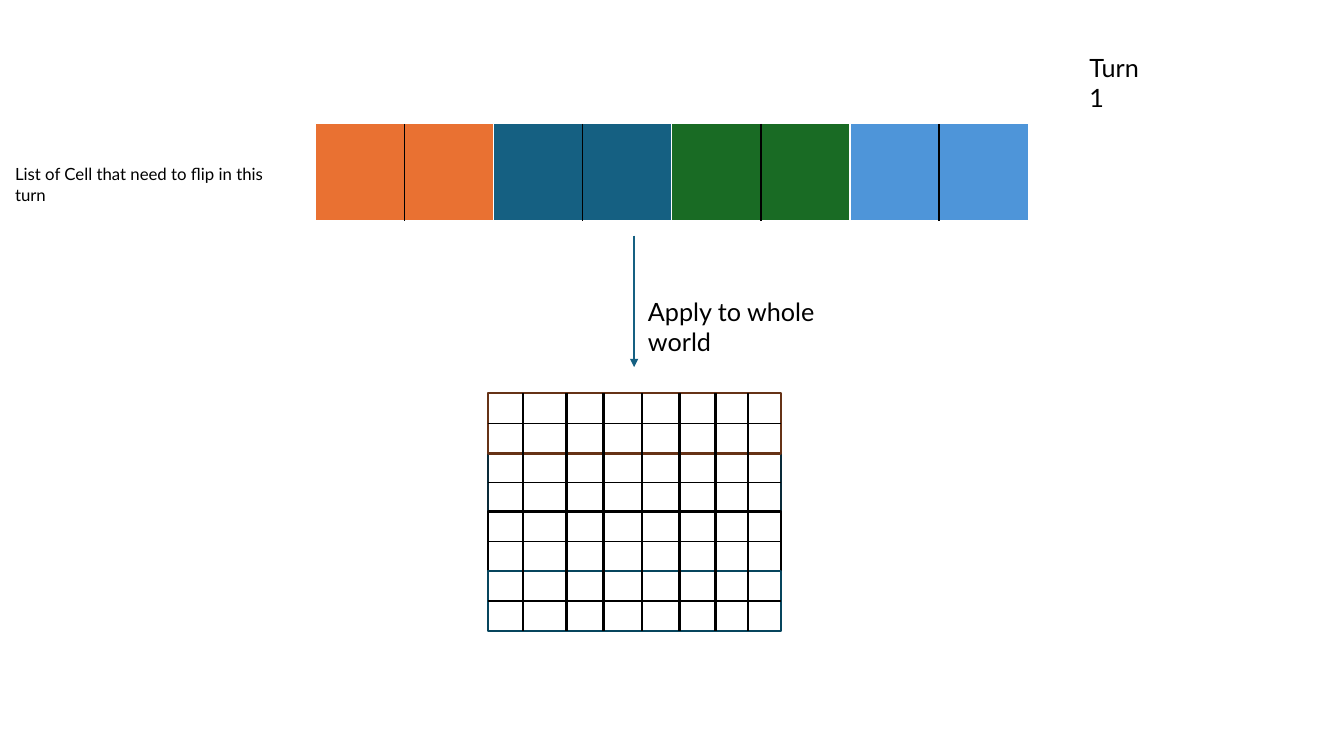
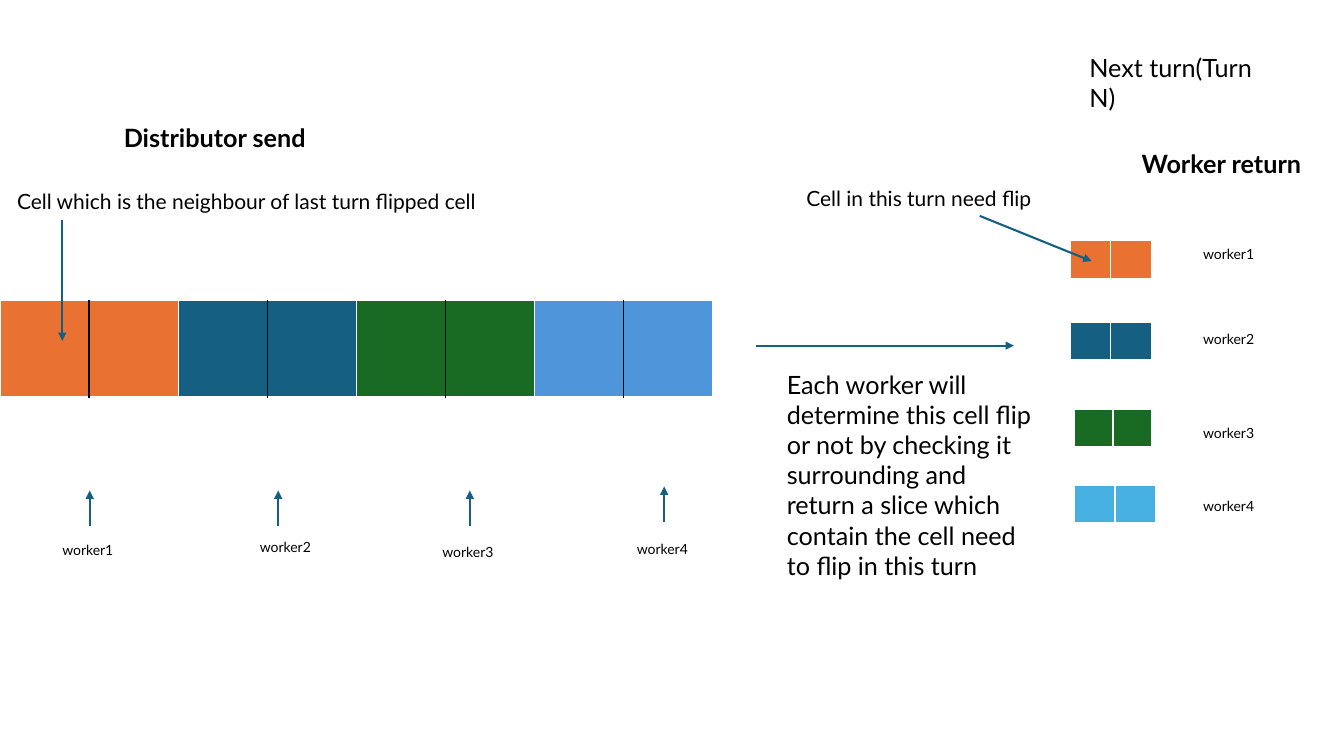
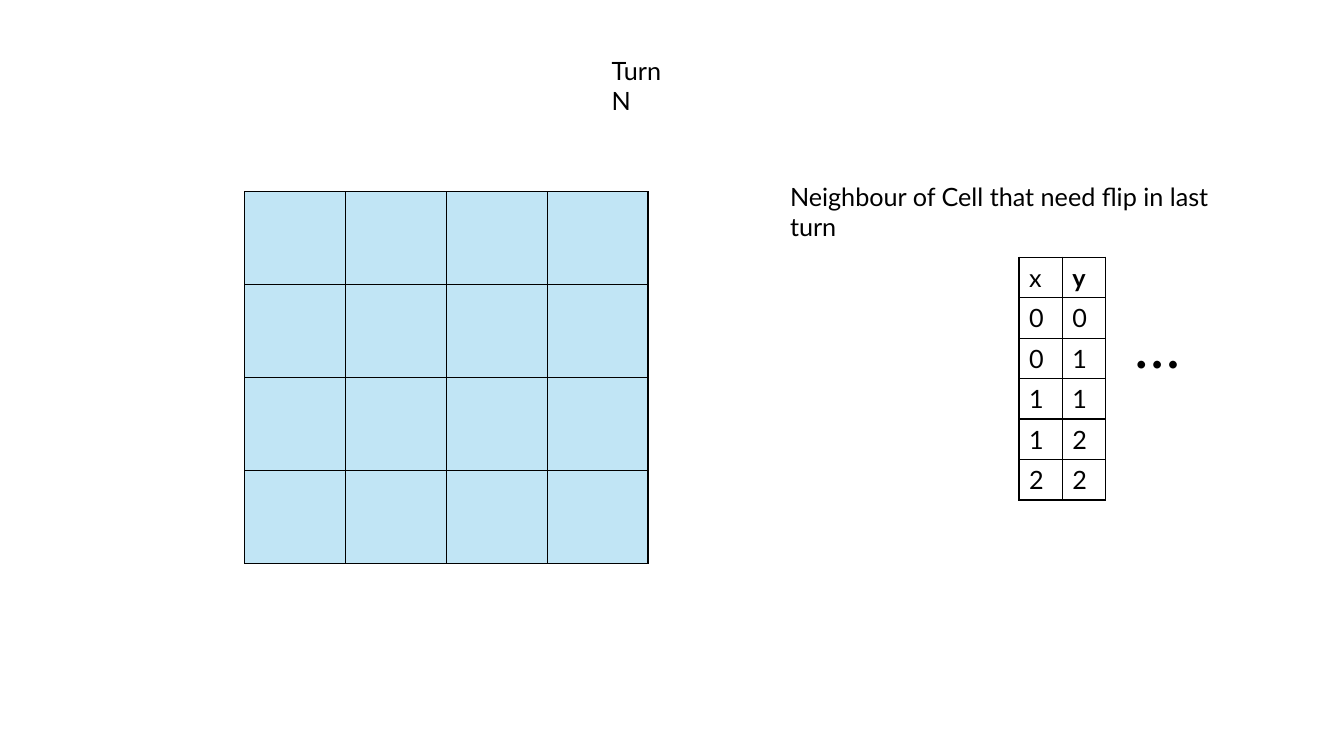
from dataclasses import dataclass

from lxml import etree
from pptx import Presentation
from pptx.dml.color import RGBColor
from pptx.enum.shapes import MSO_CONNECTOR, MSO_SHAPE
from pptx.enum.text import MSO_ANCHOR, MSO_AUTO_SIZE, PP_ALIGN
from pptx.oxml.ns import qn
from pptx.util import Cm, Pt

STRAIGHT = MSO_CONNECTOR.STRAIGHT
RECT = MSO_SHAPE.RECTANGLE
TITLE_ONLY = 5


@dataclass(frozen=True)
class Theme:
    font: str = "Lato"
    ink: str = "000000"
    paper: str = "FFFFFF"
    accent: str = "156082"
    orange: str = "E97132"
    green: str = "196B24"
    blue: str = "4E95D9"
    sky: str = "46B1E1"
    pale: str = "C1E5F5"
    label: int = 10
    small: int = 12
    caption: int = 15
    body: int = 18
    dots: int = 44
    thin: float = 1
    medium: float = 1.5
    thick: float = 2


T = Theme()

# Lengths in centimetres; text boxes are (text, left, top, width, height, size, bold)
STRIP_COLORS = [T.orange, T.accent, T.green, T.blue]
STRIP_COL, STRIP_ROW = 4.49, 2.46

TURN_1 = {
    "title": ("Turn 1", 27.2, 1.19, 2.18),
    "strip": (7.95, 3.12),
    "texts": [
        ("List of Cell that need to flip in this turn", 0.13, 4.01, 7.49, 0.76, T.small, False),
        ("Apply to whole world", 16.08, 7.34, 6.22, 1.02, T.body, False),
    ],
    "arrows": [(15.98, 5.94, 15.98, 9.25)],
}
WORLD_LEFT, WORLD_TOP, WORLD_WIDTH = 12.29, 9.91, 7.39
BAND_HEIGHT, BAND_STEP = 1.52, 1.49
# The top band is drawn last, so that its outline stays whole
WORLD_BANDS = [(1, "092A39"), (2, T.ink), (3, "07455D"), (0, "663216")]
WORLD_COLUMNS = [13.18, 14.27, 15.21, 16.18, 17.12, 18.03, 18.85]

NEXT_TURN = {
    "title": ("Next turn(Turn N)", 27.2, 1.19, 5.21),
    "strip": (0, 7.57),
    "texts": [
        ("Distributor send", 2.87, 2.95, 5.23, 1.02, T.body, True),
        ("Worker return", 28.52, 3.61, 4.6, 1.02, T.body, True),
        ("Cell which is the neighbour of last turn flipped cell",
         0.18, 4.62, 12.45, 0.89, T.caption, False),
        ("Cell in this turn need flip", 20.07, 4.55, 7.01, 0.89, T.caption, False),
        ("Each worker will determine this cell flip or not by checking it surrounding "
         "and return a slice which contain the cell need to flip in this turn",
         19.58, 9.17, 6.88, 5.64, T.body, False),
    ],
    "arrows": [
        (1.57, 5.54, 1.57, 8.59),
        (24.69, 5.44, 27.51, 6.58),
        (19.05, 8.71, 25.55, 8.71),
    ],
}
# label left, label top, arrow x, arrow bottom
SENT = [
    (1.32, 13.51, 2.26, 13.26),
    (6.3, 13.44, 7.01, 13.26),
    (10.9, 13.56, 11.84, 13.26),
    (15.8, 13.49, 16.74, 13.16),
]
SENT_ARROW = 0.9
# slice left, slice top, cell width, colour, label top
RETURNED = [
    (26.97, 6.07, 1.02, T.orange, 6.05),
    (26.97, 8.13, 1.02, T.accent, 8.2),
    (27.08, 10.31, 0.97, T.green, 10.57),
    (27.08, 12.24, 1.02, T.sky, 12.42),
]
RETURNED_ROW, RETURNED_LABEL = 0.97, 30.07
WORKER_BOX = (1.88, 0.69)

TURN_N = {
    "title": ("Turn N", 15.16, 1.27, 2.31),
    "texts": [
        ("Neighbour of Cell that need flip in last turn", 19.66, 4.45, 12.12, 1.02, T.body, False),
        ("…", 28.35, 7.62, 1.8, 2.13, T.dots, False),
    ],
    "arrows": [],
}
COORDINATES = ["xy", "00", "01", "11", "12", "22"]


def rgb(color):
    return RGBColor.from_string(color)


def style(p, size, bold=False):
    p.font.name, p.font.size, p.font.bold = T.font, Pt(size), bold
    p.font.color.rgb = rgb(T.ink)


def add_text(s, text, left, top, width, height, size, bold):
    tf = s.shapes.add_textbox(Cm(left), Cm(top), Cm(width), Cm(height)).text_frame
    tf.word_wrap = True
    tf.text = text
    style(tf.paragraphs[0], size, bold)


def add_title(s, text, left, top, width):
    sp = s.shapes.title
    sp.left, sp.top, sp.width, sp.height = Cm(left), Cm(top), Cm(width), Cm(1.02)
    tf = sp.text_frame
    tf.auto_size, tf.vertical_anchor = MSO_AUTO_SIZE.NONE, MSO_ANCHOR.TOP
    tf.word_wrap = True
    tf.text = text
    tf.paragraphs[0].alignment = PP_ALIGN.LEFT
    style(tf.paragraphs[0], T.body)


def add_line(s, x1, y1, x2, y2, color=T.ink, width=T.thin, arrow=False):
    line = s.shapes.add_connector(STRAIGHT, Cm(x1), Cm(y1), Cm(x2), Cm(y2))
    line.line.color.rgb, line.line.width = rgb(color), Pt(width)
    if arrow:
        etree.SubElement(line.line._get_or_add_ln(), qn("a:tailEnd"), type="triangle")
    etree.SubElement(line._element.spPr, qn("a:effectLst"))


def add_arrow(s, *ends):
    add_line(s, *ends, color=T.accent, width=T.medium, arrow=True)


def set_borders(cell, color, bottom):
    tc_pr = cell._tc.get_or_add_tcPr()
    widths = {"lnL": T.thin, "lnR": T.thin, "lnT": T.thin, "lnB": bottom}
    for i, (side, width) in enumerate(widths.items()):
        ln = etree.Element(qn(f"a:{side}"), w=str(Pt(width)))
        fill = etree.SubElement(ln, qn("a:solidFill"))
        etree.SubElement(fill, qn("a:srgbClr"), val=color)
        tc_pr.insert(i, ln)


def add_grid(s, left, top, col, row, fills, border, bottom=T.thin):
    """Add a table of equal cells, one per colour in the rows of fills."""
    rows, cols = len(fills), len(fills[0])
    table = s.shapes.add_table(rows, cols, Cm(left), Cm(top), Cm(col * cols), Cm(row * rows)).table
    table.first_row = table.horz_banding = False
    for r, colors in enumerate(fills):
        for c, color in enumerate(colors):
            cell = table.cell(r, c)
            cell.margin_top = cell.margin_bottom = 0
            set_borders(cell, border, bottom)
            cell.fill.solid()
            cell.fill.fore_color.rgb = rgb(color)
    return table


def add_strip(s, left, top):
    """Add the four slices, each halved by a line."""
    add_grid(s, left, top, STRIP_COL, STRIP_ROW, [STRIP_COLORS], T.paper, bottom=3)
    for i in range(len(STRIP_COLORS)):
        x = left + STRIP_COL * (i + 0.5)
        add_line(s, x, top, x, top + STRIP_ROW)


def add_world(s):
    for i, color in WORLD_BANDS:
        sp = s.shapes.add_shape(RECT, Cm(WORLD_LEFT), Cm(WORLD_TOP + i * BAND_STEP),
                                Cm(WORLD_WIDTH), Cm(BAND_HEIGHT))
        sp.shadow.inherit = False
        sp.fill.solid()
        sp.fill.fore_color.rgb = rgb(T.paper)
        sp.line.color.rgb, sp.line.width = rgb(color), Pt(T.medium)
    bottom = WORLD_TOP + 3 * BAND_STEP + BAND_HEIGHT
    for x in WORLD_COLUMNS:
        add_line(s, x, WORLD_TOP, x, bottom, width=T.thick)
    for i in range(len(WORLD_BANDS)):
        y = WORLD_TOP + i * BAND_STEP + BAND_HEIGHT / 2
        add_line(s, WORLD_LEFT, y, WORLD_LEFT + WORLD_WIDTH, y)


def add_workers(s):
    for n, (left, top, x, bottom) in enumerate(SENT, 1):
        add_text(s, f"worker{n}", left, top, *WORKER_BOX, T.label, False)
        add_arrow(s, x, bottom, x, bottom - SENT_ARROW)
    for n, (left, top, col, color, label_top) in enumerate(RETURNED, 1):
        add_grid(s, left, top, col, RETURNED_ROW, [[color] * 2], T.paper, bottom=3)
        add_text(s, f"worker{n}", RETURNED_LABEL, label_top, *WORKER_BOX, T.label, False)


def add_neighbours(s):
    add_grid(s, 6.17, 4.83, 2.54, 2.34, [[T.pale] * 4] * 4, T.ink)
    table = add_grid(s, 25.68, 6.48, 1.09, 1.02, [[T.paper] * 2] * len(COORDINATES), T.ink)
    for r, pair in enumerate(COORDINATES):
        for c, text in enumerate(pair):
            cell = table.cell(r, c)
            cell.vertical_anchor = MSO_ANCHOR.MIDDLE
            cell.text = text
            style(cell.text_frame.paragraphs[0], T.body, text == "y")


def main():
    prs = Presentation()
    prs.slide_width, prs.slide_height = Cm(33.87), Cm(19.05)
    for content, add_figure in [(TURN_1, add_world), (NEXT_TURN, add_workers),
                                (TURN_N, add_neighbours)]:
        s = prs.slides.add_slide(prs.slide_layouts[TITLE_ONLY])
        add_title(s, *content["title"])
        if "strip" in content:
            add_strip(s, *content["strip"])
        add_figure(s)
        for text in content["texts"]:
            add_text(s, *text)
        for ends in content["arrows"]:
            add_arrow(s, *ends)
    prs.save("out.pptx")


if __name__ == "__main__":
    main()
